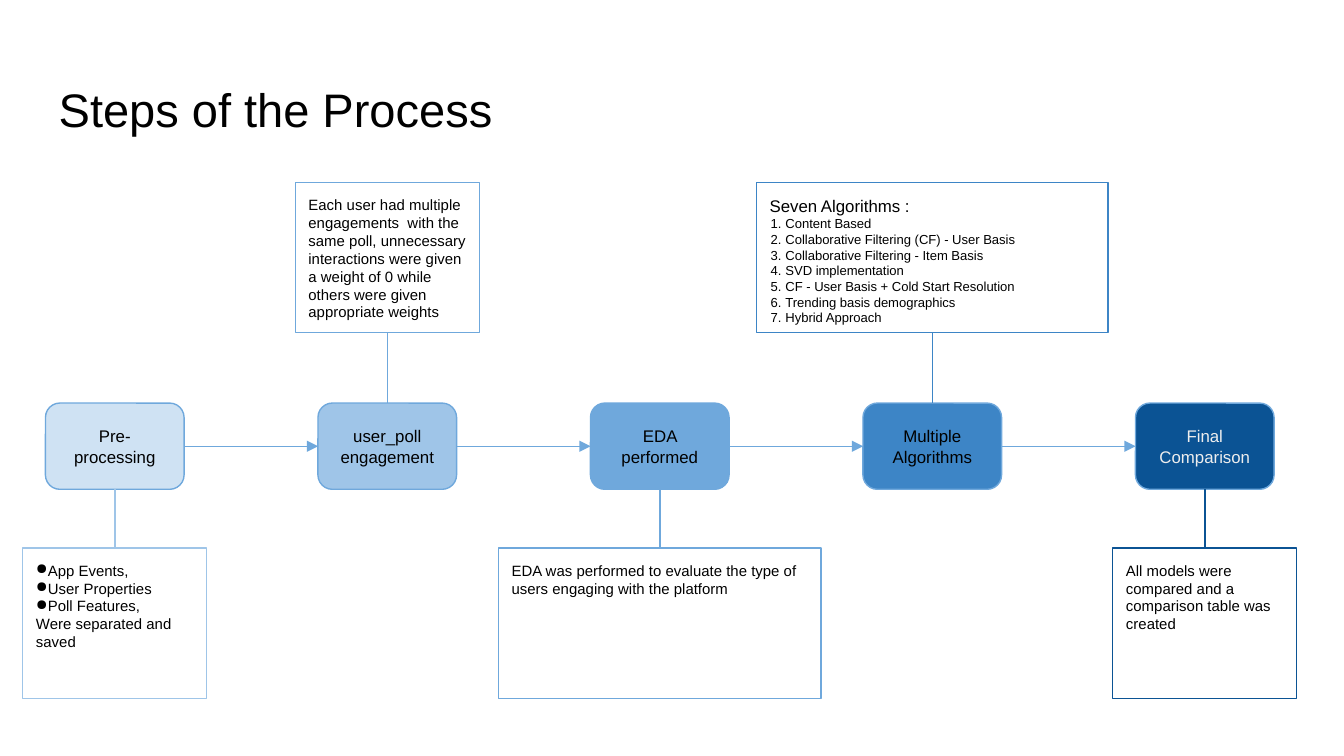
import pptx
import pptx.dml.color
import pptx.enum.shapes
import pptx.enum.text
import pptx.oxml.ns
import pptx.util
from lxml import etree
from pptx.util import Cm, Pt

SHAPES = pptx.enum.shapes.MSO_SHAPE
ANCHOR = pptx.enum.text.MSO_ANCHOR
ALIGN = pptx.enum.text.PP_ALIGN

# Layout in centimetres
STEP_LEFT, STEP_TOP, STEP_PITCH = 0.86, 7.62, 5.15
STEP_WIDTH, STEP_HEIGHT = 2.62, 1.63
CARD_HEIGHT, UPPER_TOP, LOWER_TOP = 2.84, 3.45, 10.36
INSET = 0.25
BLUE = "6FA8DC"

# Step lines, fill, text colour
STEPS = [
    (["Pre-processing"], "CFE2F3", "000000"),
    (["user_poll", "engagement"], "9FC5E8", "000000"),
    (["EDA performed"], BLUE, "000000"),
    (["Multiple Algorithms"], "3D85C6", "000000"),
    (["Final Comparison"], "0B5394", "EEEEEE"),
]

# Card width, whether it sits above its step, colour, and (text, size, list kind) lines
CARDS = [
    (3.48, False, "9FC5E8", [
        ("App Events,", 8, "bullet"),
        ("User Properties", 8, "bullet"),
        ("Poll Features,", 8, "bullet"),
        ("Were separated and saved", 8, None),
    ]),
    (3.48, True, BLUE, [
        ("Each user had multiple engagements  with the same poll, unnecessary "
         "interactions were given a weight of 0 while others were given "
         "appropriate weights", 8, None),
    ]),
    (6.1, False, BLUE, [
        ("EDA was performed to evaluate the type of users engaging with the platform", 8, None),
    ]),
    (6.65, True, "3D85C6", [
        ("Seven Algorithms :", 9, None),
        ("Content Based", 7, "number"),
        ("Collaborative Filtering (CF) - User Basis", 7, "number"),
        ("Collaborative Filtering - Item Basis", 7, "number"),
        ("SVD implementation", 7, "number"),
        ("CF - User Basis + Cold Start Resolution", 7, "number"),
        ("Trending basis demographics", 7, "number"),
        ("Hybrid Approach", 7, "number"),
    ]),
    (3.48, False, "0B5394", [
        ("All models were compared and a comparison table was created", 8, None),
    ]),
]

# List kind: left margin and hanging indent in cm, marker element, its attributes
LISTS = {
    "bullet": (0.15, -0.3, "a:buChar", {"char": "●"}),
    "number": (0.3, -0.28, "a:buAutoNum", {"type": "arabicPeriod"}),
}


def rgb(color):
    return pptx.dml.color.RGBColor.from_string(color)


def add_child(parent, tag, **attributes):
    return etree.SubElement(parent, pptx.oxml.ns.qn(tag), **attributes)


def set_list(para, kind):
    margin, indent, tag, attributes = LISTS[kind]
    properties = para._p.get_or_add_pPr()
    properties.set("marL", str(Cm(margin)))
    properties.set("indent", str(Cm(indent)))
    add_child(properties, tag, **attributes)


def write_text(box, lines, color="000000", align=ALIGN.LEFT, anchor=ANCHOR.TOP):
    frame = box.text_frame
    frame.word_wrap = True
    frame.vertical_anchor = anchor
    frame.margin_left = frame.margin_right = Cm(INSET)
    frame.margin_top = frame.margin_bottom = Cm(INSET)
    for index, (text, size, kind) in enumerate(lines):
        para = frame.add_paragraph() if index else frame.paragraphs[0]
        para.text = text
        para.alignment = align
        para.font.name = "Arial"
        para.font.size = Pt(size)
        para.font.color.rgb = rgb(color)
        if kind:
            set_list(para, kind)


def add_box(page, preset, left, top, width, height, line, fill=None):
    box = page.shapes.add_shape(preset, Cm(left), Cm(top), Cm(width), Cm(height))
    box.shadow.inherit = False
    if fill:
        box.fill.solid()
        box.fill.fore_color.rgb = rgb(fill)
    else:
        box.fill.background()
    box.line.color.rgb = rgb(line)
    box.line.width = Pt(0.75)
    return box


def add_line(page, start, end, color, arrow=False):
    line = page.shapes.add_connector(
        pptx.enum.shapes.MSO_CONNECTOR.STRAIGHT, *map(Cm, start + end))
    line.line.color.rgb = rgb(color)
    line.line.width = Pt(0.75)
    if arrow:
        add_child(line.line._get_or_add_ln(), "a:tailEnd", type="triangle")
    add_child(line._element.spPr, "a:effectLst")


def add_title(page, text):
    box = page.shapes.add_textbox(Cm(0.86), Cm(1.25), Cm(23.67), Cm(1.6))
    write_text(box, [(text, 25.2, None)], anchor=ANCHOR.MIDDLE)


def add_step(page, left, lines, fill, color):
    box = add_box(page, SHAPES.FLOWCHART_ALTERNATE_PROCESS, left, STEP_TOP,
                  STEP_WIDTH, STEP_HEIGHT, BLUE, fill)
    write_text(box, [(text, 9, None) for text in lines], color,
               ALIGN.CENTER, ANCHOR.MIDDLE)


def add_card(page, center, width, above, color, lines):
    top = UPPER_TOP if above else LOWER_TOP
    box = add_box(page, SHAPES.RECTANGLE, center - width / 2, top,
                  width, CARD_HEIGHT, color)
    write_text(box, lines)
    # Stem between the card and its step
    if above:
        start, end = top + CARD_HEIGHT, STEP_TOP
    else:
        start, end = STEP_TOP + STEP_HEIGHT, top
    add_line(page, (center, start), (center, end), color)


def main():
    deck = pptx.Presentation()
    deck.slide_width, deck.slide_height = Cm(25.4), Cm(14.29)
    page = deck.slides.add_slide(deck.slide_layouts[6])
    add_title(page, "Steps of the Process")

    # Process row with the cards that explain each step
    middle = STEP_TOP + STEP_HEIGHT / 2
    for index, (step, card) in enumerate(zip(STEPS, CARDS)):
        left = STEP_LEFT + index * STEP_PITCH
        add_step(page, left, *step)
        add_card(page, left + STEP_WIDTH / 2, *card)
        if index:
            previous_right = left - STEP_PITCH + STEP_WIDTH
            add_line(page, (previous_right, middle), (left, middle), BLUE, arrow=True)

    deck.save("out.pptx")


if __name__ == "__main__":
    main()
